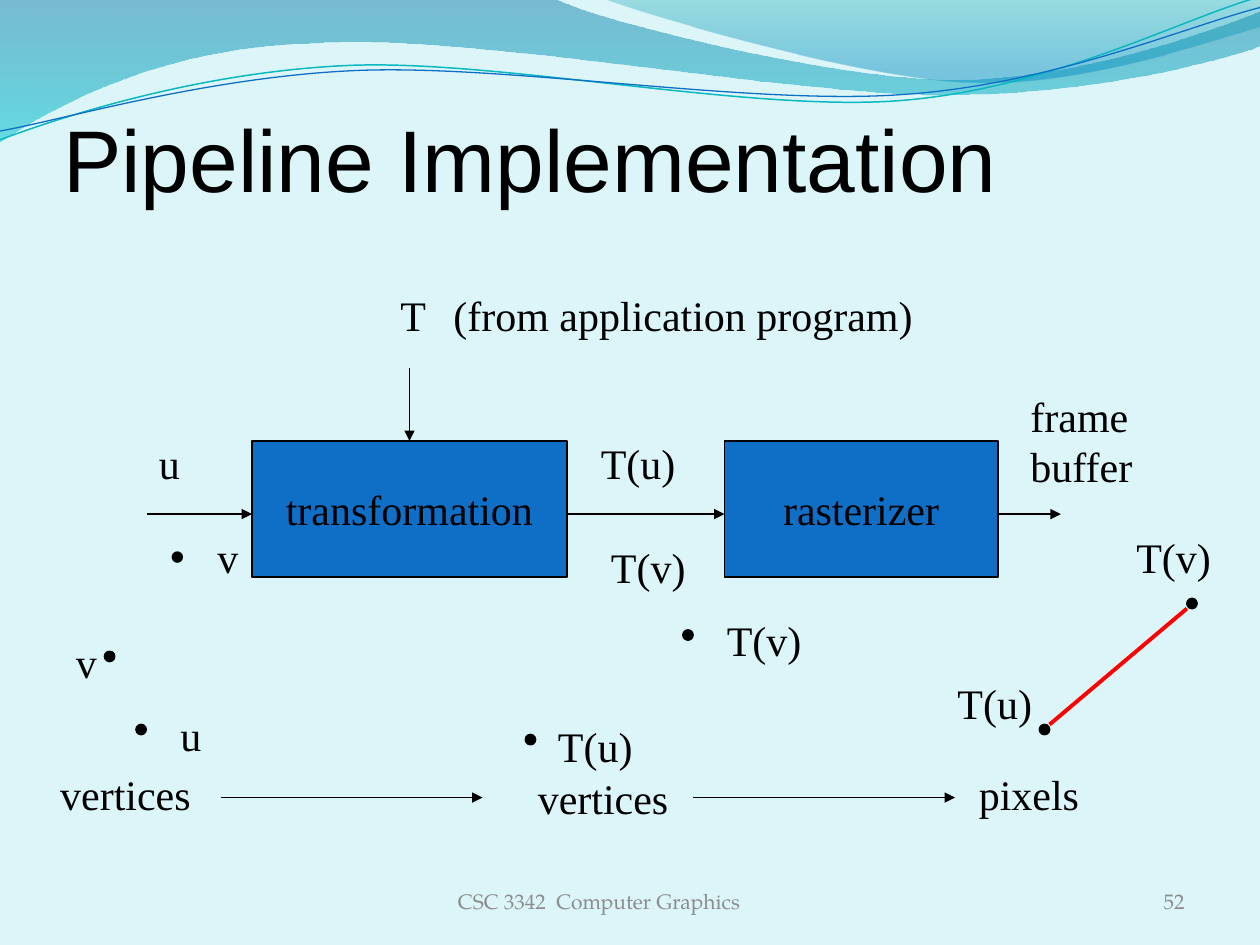
from dataclasses import dataclass
from typing import NamedTuple

from lxml import etree
from pptx import Presentation
from pptx.dml.color import RGBColor
from pptx.enum.shapes import MSO_CONNECTOR, MSO_SHAPE
from pptx.enum.text import MSO_ANCHOR, MSO_AUTO_SIZE, PP_ALIGN
from pptx.oxml.ns import qn
from pptx.util import Inches, Pt

LEFT, CENTER, RIGHT = PP_ALIGN.LEFT, PP_ALIGN.CENTER, PP_ALIGN.RIGHT
MIDDLE, BOTTOM = MSO_ANCHOR.MIDDLE, MSO_ANCHOR.BOTTOM
NO_FIT, GROW = MSO_AUTO_SIZE.NONE, MSO_AUTO_SIZE.SHAPE_TO_FIT_TEXT
RECT, OVAL = MSO_SHAPE.RECTANGLE, MSO_SHAPE.OVAL
STRAIGHT = MSO_CONNECTOR.STRAIGHT
TOP_SIDE = 0


class Style(NamedTuple):
    font: str
    size: float
    color: str


@dataclass(frozen=True)
class Theme:
    back: str = "DBF5F9"
    ink: str = "000000"
    blue: str = "0F6FC6"
    teal: str = "0AB8BF"
    red: str = "FF0000"
    thin: float = 1
    thick: float = 2.25
    title: Style = Style("Arial", 50, "000000")
    label: Style = Style("Times New Roman", 24, "000000")
    foot: Style = Style("TeX Gyre Pagella", 12, "8C8C8C")


class Stop(NamedTuple):
    place: float
    color: str
    alpha: int


class Wave(NamedTuple):
    """Each step is a point (line) or three points (Bezier curve)."""
    start: tuple
    steps: list
    stops: tuple = ()
    color: str = ""
    width: float = 0


class Label(NamedTuple):
    text: str
    x: float
    y: float
    w: float = 0.79
    h: float = 0.5


class Arrow(NamedTuple):
    x: float
    y: float
    end: float


THEME = Theme()
WAVES = [
    Wave((0, 0), [(4.4, -0.01), (4.76, 0.17, 6.64, 0.63, 7.58, 0.63),
                  (8.53, 0.63, 9.58, 0.26, 10, 0.09), (10.01, 0.36),
                  (9.83, 0.44, 8.7, 0.76, 7.46, 0.75),
                  (6.22, 0.75, 3.82, 0.28, 2.57, 0.34),
                  (1.29, 0.36, 0.46, 0.83, -0.01, 1.13), (0, 0)],
         (Stop(0, "0074A1", 45), Stop(1, "00C6CF", 55))),
    Wave((4.79, -0.01), [(5.09, 0.11, 6.82, 0.62, 7.69, 0.65),
                         (8.56, 0.69, 9.61, 0.32, 10, 0.21), (10, 0), (4.79, -0.01)],
         (Stop(0, "00A1A9", 30), Stop(0.8, "008BBF", 45))),
    Wave((0, 1.11), [(0.48, 0.93, 1.58, 0.57, 2.77, 0.52),
                     (3.95, 0.47, 5.93, 0.89, 7.13, 0.8),
                     (8.33, 0.71, 9.38, 0.15, 9.98, -0.02)],
         color=THEME.teal, width=0.85),
    Wave((0, 1.04), [(0.47, 0.96, 1.64, 0.61, 2.83, 0.56),
                     (4.03, 0.51, 5.97, 0.84, 7.17, 0.75),
                     (8.36, 0.67, 9.41, 0.21, 10, 0.06)],
         color=THEME.blue, width=0.75),
]
LABELS = [
    Label(" u", 1.25, 5.58, 0.45), Label(" u", 1.08, 3.42, 0.45),
    Label(" v", 0.42, 5, 0.45), Label("T", 3.08, 2.25, 0.4),
    Label("T(u)", 4.67, 3.42), Label("T(v)", 4.75, 4.25),
    Label("T(u)", 7.5, 5.33), Label("T(u)", 4.33, 5.67),
    Label("T(v)", 5.67, 4.83), Label("T(v)", 8.92, 4.17),
    Label("vertices", 0.38, 6.05, 1.24), Label("vertices", 4.17, 6.08, 1.24),
    Label("pixels", 7.67, 6.05, 1), Label("frame\nbuffer", 8.08, 3.05, 1.02, 0.9),
    Label("(from application program)", 3.5, 2.25, 3.86),
]
ARROWS = [Arrow(1.17, 4.08, 2), Arrow(4.5, 4.08, 5.75), Arrow(7.92, 4.08, 8.42),
          Arrow(1.75, 6.33, 3.83), Arrow(5.5, 6.33, 7.58)]
DOTS = [(8.25, 5.75), (9.42, 4.75), (1.08, 5.75), (0.83, 5.17), (4.17, 5.83), (5.42, 5)]
DOT = 0.08


def rgb(code: str) -> RGBColor:
    return RGBColor.from_string(code)


def write(frame, text: str, style: Style, align=LEFT) -> None:
    frame.text = text
    for para in frame.paragraphs:
        para.alignment = align
        para.font.name, para.font.size = style.font, Pt(style.size)
        para.font.color.rgb = rgb(style.color)


def place(shape, x: float, y: float, w: float, h: float) -> None:
    shape.left, shape.top, shape.width, shape.height = map(Inches, (x, y, w, h))


def stroke(shape, color: str, width: float) -> None:
    shape.line.color.rgb = rgb(color)
    shape.line.width = Pt(width)


def bend(shape, steps: list) -> None:
    """Turn each run of three line segments that stands for a curve into one."""
    lines = iter(list(shape._element.spPr.iter(qn("a:lnTo"))))
    for step in steps:
        group = [next(lines) for _ in range(len(step) // 2)]
        if len(group) == 3:
            curve = etree.Element(qn("a:cubicBezTo"))
            group[0].addprevious(curve)
            for line in group:
                curve.append(line[0])
                line.getparent().remove(line)


def add_wave(shapes, wave: Wave) -> None:
    spots = [(Inches(step[i]), Inches(step[i + 1]))
             for step in wave.steps for i in range(0, len(step), 2)]
    pen = shapes.build_freeform(*map(Inches, wave.start))
    pen.add_line_segments(spots, close=bool(wave.stops))
    shape = pen.convert_to_shape()
    bend(shape, wave.steps)
    shape.shadow.inherit = False
    if not wave.stops:
        shape.fill.background()
        stroke(shape, wave.color, wave.width)
        return
    shape.line.fill.background()
    shape.fill.gradient()
    shape.fill.gradient_angle = 270
    for stop, want in zip(shape.fill.gradient_stops, wave.stops):
        stop.position = want.place
        stop.color.rgb = rgb(want.color)
    for node, want in zip(shape._element.spPr.iter(qn("a:srgbClr")), wave.stops):
        etree.SubElement(node, qn("a:alpha"), val=str(want.alpha * 1000))


def add_solid(shapes, kind, x: float, y: float, w: float, h: float, color: str):
    shape = shapes.add_shape(kind, *map(Inches, (x, y, w, h)))
    shape.shadow.inherit = False
    shape.fill.solid()
    shape.fill.fore_color.rgb = rgb(color)
    stroke(shape, THEME.ink, THEME.thin)
    return shape


def add_block(shapes, text: str, x: float, w: float):
    block = add_solid(shapes, RECT, x, 3.5, w, 1.08, THEME.blue)
    block.text_frame.word_wrap = False
    block.text_frame.vertical_anchor = MIDDLE
    write(block.text_frame, text, THEME.label, CENTER)
    return block


def add_line(shapes, start: tuple, end: tuple, color=THEME.ink, width=THEME.thin, head=True):
    line = shapes.add_connector(STRAIGHT, *map(Inches, start + end))
    stroke(line, color, width)
    if head:
        etree.SubElement(line.line._get_or_add_ln(), qn("a:tailEnd"), type="triangle")
    etree.SubElement(line._element.spPr, qn("a:effectLst"))
    return line


def add_label(shapes, label: Label) -> None:
    frame = shapes.add_textbox(*map(Inches, label[1:])).text_frame
    frame.word_wrap = False
    frame.auto_size = GROW
    write(frame, label.text, THEME.label)


def add_foot(shapes, text: str, x: float, w: float, align) -> None:
    frame = shapes.add_textbox(*map(Inches, (x, 6.95, w, 0.4))).text_frame
    frame.word_wrap = True
    frame.vertical_anchor = MIDDLE
    write(frame, text, THEME.foot, align)


def fill_holders(shapes) -> None:
    title, body = shapes.title, shapes.placeholders[1]
    for holder in (title, body):
        shapes._spTree.append(holder._element)  # in front of the waves
        holder.text_frame.auto_size = NO_FIT
    place(title, 0.5, 0.42, 9, 1.25)
    frame = title.text_frame
    frame.margin_left = frame.margin_right = frame.margin_bottom = 0
    frame.vertical_anchor = BOTTOM
    write(frame, "Pipeline Implementation", THEME.title)
    place(body, 1.25, 4.17, 0.58, 0.5)
    para = body.text_frame.paragraphs[0]
    para.space_before = Pt(0)
    props = para._p.get_or_add_pPr()
    props.set("marL", str(Inches(0.3)))
    props.set("indent", str(Inches(-0.3)))
    etree.SubElement(props, qn("a:buNone"))
    write(body.text_frame, "v", THEME.label)


def main() -> None:
    deck = Presentation()
    deck.slide_width, deck.slide_height = Inches(10), Inches(7.5)
    slide = deck.slides.add_slide(deck.slide_layouts[1])
    slide.background.fill.solid()
    slide.background.fill.fore_color.rgb = rgb(THEME.back)
    shapes = slide.shapes
    for wave in WAVES:
        add_wave(shapes, wave)
    fill_holders(shapes)
    block = add_block(shapes, "transformation", 2, 2.5)
    add_block(shapes, "rasterizer", 5.75, 2.17)
    for x, y, end in ARROWS:
        add_line(shapes, (x, y), (end, y))
    add_line(shapes, (3.25, 2.92), (3.25, 3.5)).end_connect(block, TOP_SIDE)
    add_line(shapes, (8.33, 5.75), (9.42, 4.83), THEME.red, THEME.thick, head=False)
    for x, y in DOTS:
        add_solid(shapes, OVAL, x, y, DOT, DOT, THEME.ink)
    for label in LABELS:
        add_label(shapes, label)
    add_foot(shapes, "CSC 3342  Computer Graphics", 2.92, 3.67, CENTER)
    add_foot(shapes, "52", 7.17, 2.33, RIGHT)
    deck.save("out.pptx")


if __name__ == "__main__":
    main()
